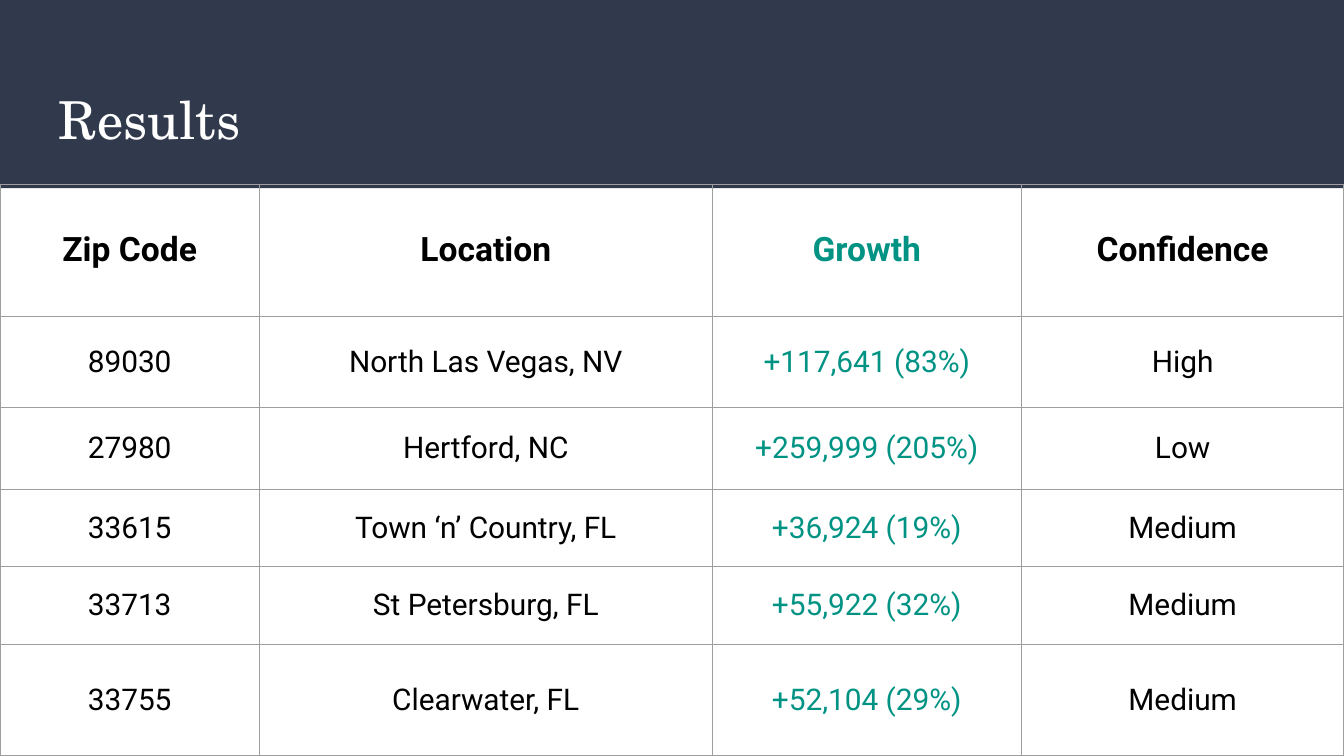
from dataclasses import dataclass

import pptx
import pptx.dml.color
import pptx.enum.shapes
import pptx.enum.text
import pptx.oxml
import pptx.oxml.ns
import pptx.util

Inches = pptx.util.Inches


@dataclass(frozen=True)
class Theme:
    """Colours, fonts and sizes of the slide."""
    navy: str = "31394D"
    white: str = "FFFFFF"
    black: str = "000000"
    teal: str = "009384"
    grid: str = "9E9E9E"
    title_font: str = "TeX Gyre Schola"
    body_font: str = "Roboto"
    title_size: int = 28
    head_size: int = 18
    body_size: int = 16
    grid_width: float = 0.75
    inset: float = 0.1


THEME = Theme()
SLIDE_WIDTH = 10
SLIDE_HEIGHT = SLIDE_WIDTH * 9 / 16
GROWTH_COLUMN = 2
COLUMN_WIDTHS = [1.93, 3.37, 2.3, 2.4]
ROW_HEIGHTS = [0.98, 0.68, 0.61, 0.58, 0.58, 0.83]
RESULTS = [
    ["Zip Code", "Location", "Growth", "Confidence"],
    ["89030", "North Las Vegas, NV", "+117,641 (83%)", "High"],
    ["27980", "Hertford, NC", "+259,999 (205%)", "Low"],
    ["33615", "Town ‘n’ Country, FL", "+36,924 (19%)", "Medium"],
    ["33713", "St Petersburg, FL", "+55,922 (32%)", "Medium"],
    ["33755", "Clearwater, FL", "+52,104 (29%)", "Medium"],
]


def rgb(value):
    """Turn a hex string into a colour."""
    return pptx.dml.color.RGBColor.from_string(value)


def add_run(p, text, font, size, color, bold=False):
    """Add one formatted run to a paragraph."""
    r = p.add_run()
    r.text = text
    r.font.name = font
    r.font.size = pptx.util.Pt(size)
    r.font.bold = bold
    r.font.color.rgb = rgb(color)


def set_insets(box):
    """Give a text frame or cell equal margins."""
    box.margin_left = box.margin_right = Inches(THEME.inset)
    box.margin_top = box.margin_bottom = Inches(THEME.inset)


def set_borders(cell):
    """Draw a thin grid line on each side of a cell."""
    tc_pr = cell._tc.get_or_add_tcPr()
    for i, side in enumerate(("lnL", "lnR", "lnT", "lnB")):
        ln = pptx.oxml.parse_xml(
            f'<a:{side} {pptx.oxml.ns.nsdecls("a")} w="{pptx.util.Pt(THEME.grid_width)}">'
            f'<a:solidFill><a:srgbClr val="{THEME.grid}"/></a:solidFill>'
            f'<a:prstDash val="solid"/></a:{side}>')
        tc_pr.insert(i, ln)


def add_header(slide, left, top, width, height, title):
    """Place the dark band with the slide title."""
    sp = slide.shapes.add_shape(
        pptx.enum.shapes.MSO_SHAPE.RECTANGLE,
        Inches(left), Inches(top), Inches(width), Inches(height))
    sp.shadow.inherit = False
    sp.fill.solid()
    sp.fill.fore_color.rgb = rgb(THEME.navy)
    sp.line.fill.background()

    margin = 0.34
    box = slide.shapes.add_textbox(
        Inches(left + margin), Inches(top + 0.55),
        Inches(width - 2 * margin), Inches(0.68))
    tf = box.text_frame
    tf.word_wrap = True
    set_insets(tf)
    add_run(tf.paragraphs[0], title, THEME.title_font, THEME.title_size, THEME.white)


def fill_cell(cell, text, is_head, is_growth):
    """Write and format one table cell."""
    cell.fill.background()
    set_borders(cell)
    set_insets(cell)
    cell.vertical_anchor = pptx.enum.text.MSO_ANCHOR.MIDDLE
    p = cell.text_frame.paragraphs[0]
    p.alignment = pptx.enum.text.PP_ALIGN.CENTER
    add_run(p, text, THEME.body_font,
            THEME.head_size if is_head else THEME.body_size,
            THEME.teal if is_growth else THEME.black, is_head)


def add_results_table(slide, left, top, width, height):
    """Place the results table, scaled to its box."""
    table = slide.shapes.add_table(
        len(RESULTS), len(COLUMN_WIDTHS),
        Inches(left), Inches(top), Inches(width), Inches(height)).table
    table.first_row = table.horz_banding = False
    for column, share in zip(table.columns, COLUMN_WIDTHS):
        column.width = Inches(width * share / sum(COLUMN_WIDTHS))
    for row, share in zip(table.rows, ROW_HEIGHTS):
        row.height = Inches(height * share / sum(ROW_HEIGHTS))
    for i, values in enumerate(RESULTS):
        for j, text in enumerate(values):
            fill_cell(table.cell(i, j), text, i == 0, j == GROWTH_COLUMN)


def main():
    """Build the results slide and save it."""
    prs = pptx.Presentation()
    prs.slide_width, prs.slide_height = Inches(SLIDE_WIDTH), Inches(SLIDE_HEIGHT)
    slide = prs.slides.add_slide(prs.slide_layouts[6])
    add_header(slide, 0, 0, SLIDE_WIDTH, 1.4, "Results")
    table_height = 4.25
    add_results_table(slide, 0, SLIDE_HEIGHT - table_height, SLIDE_WIDTH, table_height)
    prs.save("out.pptx")


if __name__ == "__main__":
    main()
